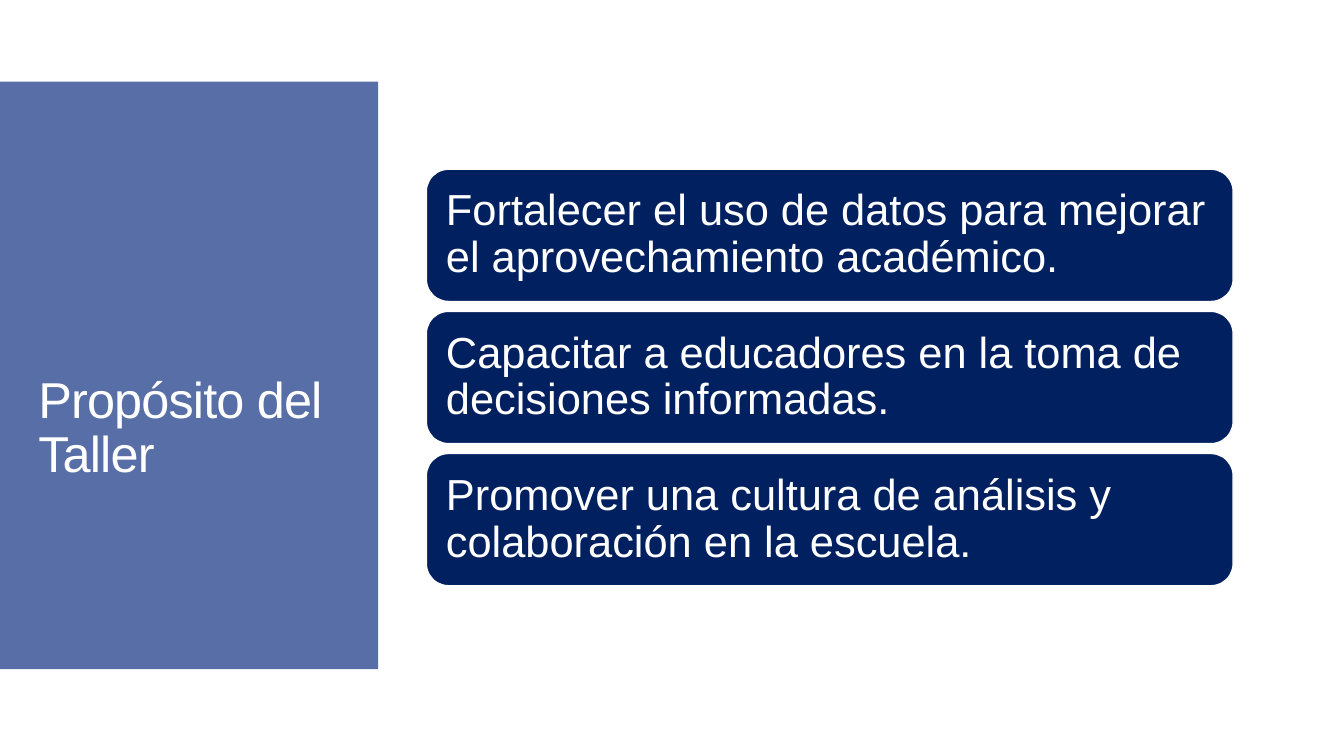
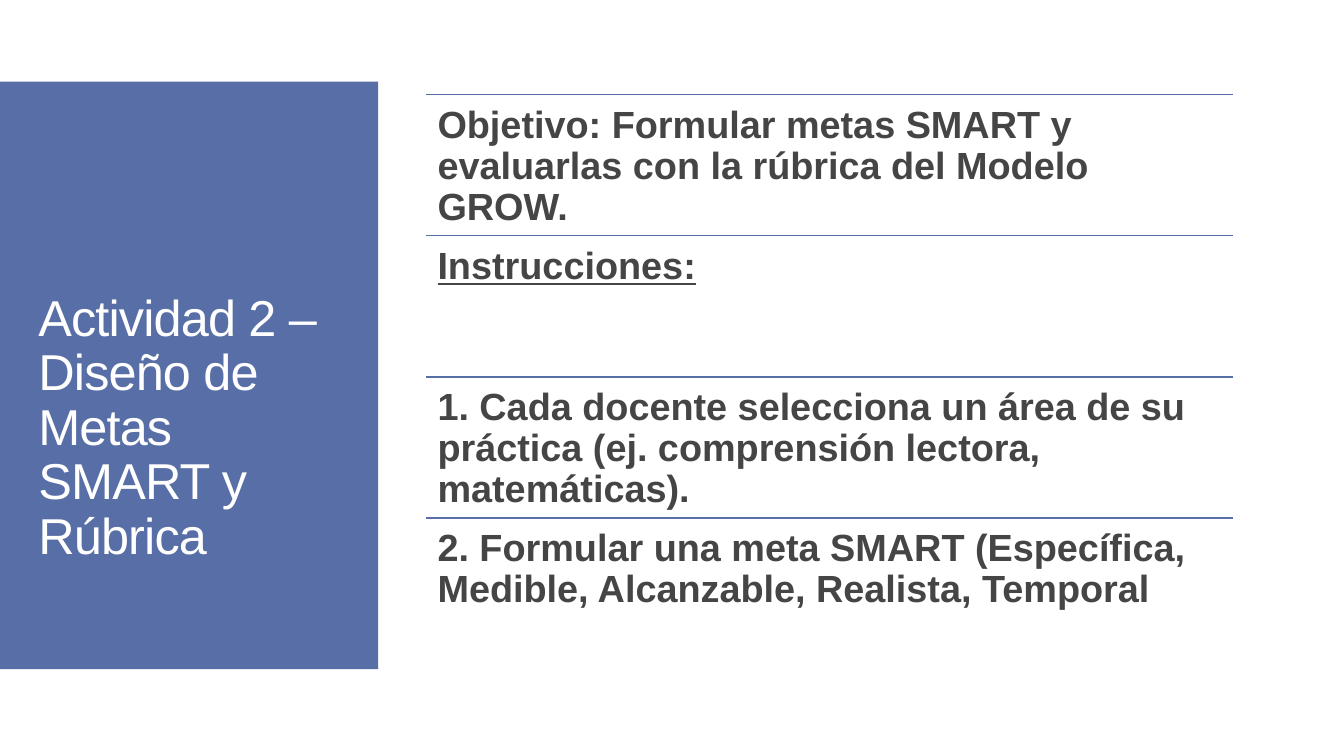
from dataclasses import dataclass

from lxml import etree
from pptx import Presentation
from pptx.dml.color import RGBColor
from pptx.enum import shapes, text
from pptx.oxml.ns import qn
from pptx.util import Inches, Pt


@dataclass(frozen=True)
class Theme:
    font: str = "Arial"
    white: RGBColor = RGBColor(0xFF, 0xFF, 0xFF)
    blue: RGBColor = RGBColor(0x58, 0x6E, 0xA6)
    navy: RGBColor = RGBColor(0x00, 0x20, 0x60)
    gray: RGBColor = RGBColor(0x45, 0x45, 0x45)
    title_size: float = 36
    card_size: float = 31
    row_size: float = 27
    line_width: float = 0.85
    line_spacing: float = 0.9


THEME = Theme()

# Boxes are left, top, width, height in inches
BAND_BOX = (0, 0.81, 3.75, 5.83)
TITLE_BOX = (0.28, 2.24, 3.22, 4.03)
CARDS_BOX = (4.23, 1.68, 8, 4.13)
ROWS_BOX = (4.23, 0.94, 8, 5.6)


def inches(box):
    return [Inches(length) for length in box]


def write(shape, words, size, color, anchor, inset=None, bold=False, underline=False):
    """Fill a shape with one left-aligned paragraph and return its run."""
    frame = shape.text_frame
    frame.word_wrap = True
    frame.auto_size = text.MSO_AUTO_SIZE.NONE
    frame.vertical_anchor = anchor
    if inset is not None:
        frame.margin_left = frame.margin_right = Inches(inset)
        frame.margin_top = frame.margin_bottom = Inches(inset)
    para = frame.paragraphs[0]
    para.alignment = text.PP_ALIGN.LEFT
    para.line_spacing = THEME.line_spacing
    span = para.add_run()
    span.text = words
    span.font.name = THEME.font
    span.font.size = Pt(size)
    span.font.color.rgb = color
    span.font.bold = bold
    span.font.underline = underline
    return span


def add_titled_page(deck, words):
    """Add a slide with the side band and its title."""
    page = deck.slides.add_slide(deck.slide_layouts[5])
    title = page.shapes.title
    title.left, title.top, title.width, title.height = inches(TITLE_BOX)
    span = write(title, words, THEME.title_size, THEME.white, text.MSO_ANCHOR.MIDDLE)
    span.font._element.set("spc", "-60")

    # Side band, placed behind the title
    band = page.shapes.add_shape(shapes.MSO_SHAPE.RECTANGLE, *inches(BAND_BOX))
    band.shadow.inherit = False
    band.fill.solid()
    band.fill.fore_color.rgb = THEME.blue
    band.line.fill.background()
    title.element.addprevious(band.element)
    return page


def add_cards(page, box, items, gap=0.1):
    """Stack equal rounded cards in the box."""
    left, top, width, height = box
    card_height = (height - gap * (len(items) - 1)) / len(items)
    for index, words in enumerate(items):
        card_top = top + index * (card_height + gap)
        card = page.shapes.add_shape(
            shapes.MSO_SHAPE.ROUNDED_RECTANGLE,
            *inches((left, card_top, width, card_height)))
        card.shadow.inherit = False
        card.fill.solid()
        card.fill.fore_color.rgb = THEME.navy
        card.line.color.rgb = THEME.white
        card.line.width = Pt(THEME.line_width)
        write(card, words, THEME.card_size, THEME.white,
              text.MSO_ANCHOR.MIDDLE, inset=0.13)


def add_ruled_rows(page, box, items):
    """Split the box into equal rows, each under a thin rule."""
    left, top, width, height = box
    row_height = height / len(items)
    for index, (words, underline) in enumerate(items):
        row_top = top + index * row_height
        rule = page.shapes.add_connector(
            shapes.MSO_CONNECTOR.STRAIGHT,
            *inches((left, row_top, left + width, row_top)))
        rule.line.color.rgb = THEME.blue
        rule.line.width = Pt(THEME.line_width)
        etree.SubElement(rule.element.spPr, qn("a:effectLst"))
        row = page.shapes.add_textbox(*inches((left, row_top, width, row_height)))
        write(row, words, THEME.row_size, THEME.gray, text.MSO_ANCHOR.TOP,
              inset=0.11, bold=True, underline=underline)


def build_purpose(deck):
    page = add_titled_page(deck, "Propósito del Taller")
    add_cards(page, CARDS_BOX, [
        "Fortalecer el uso de datos para mejorar el aprovechamiento académico.",
        "Capacitar a educadores en la toma de decisiones informadas.",
        "Promover una cultura de análisis y colaboración en la escuela.",
    ])


def build_activity(deck):
    page = add_titled_page(deck, "Actividad 2 – Diseño de Metas SMART y Rúbrica")
    # Each row: words, underlined or not
    add_ruled_rows(page, ROWS_BOX, [
        ("Objetivo: Formular metas SMART y evaluarlas con la rúbrica "
         "del Modelo GROW.", False),
        ("Instrucciones:", True),
        ("1. Cada docente selecciona un área de su práctica "
         "(ej. comprensión lectora, matemáticas).", False),
        ("2. Formular una meta SMART (Específica, Medible, Alcanzable, "
         "Realista, Temporal", False),
    ])


def main():
    deck = Presentation()
    deck.slide_width, deck.slide_height = Inches(13.33), Inches(7.5)
    build_purpose(deck)
    build_activity(deck)
    deck.save("out.pptx")


if __name__ == "__main__":
    main()
